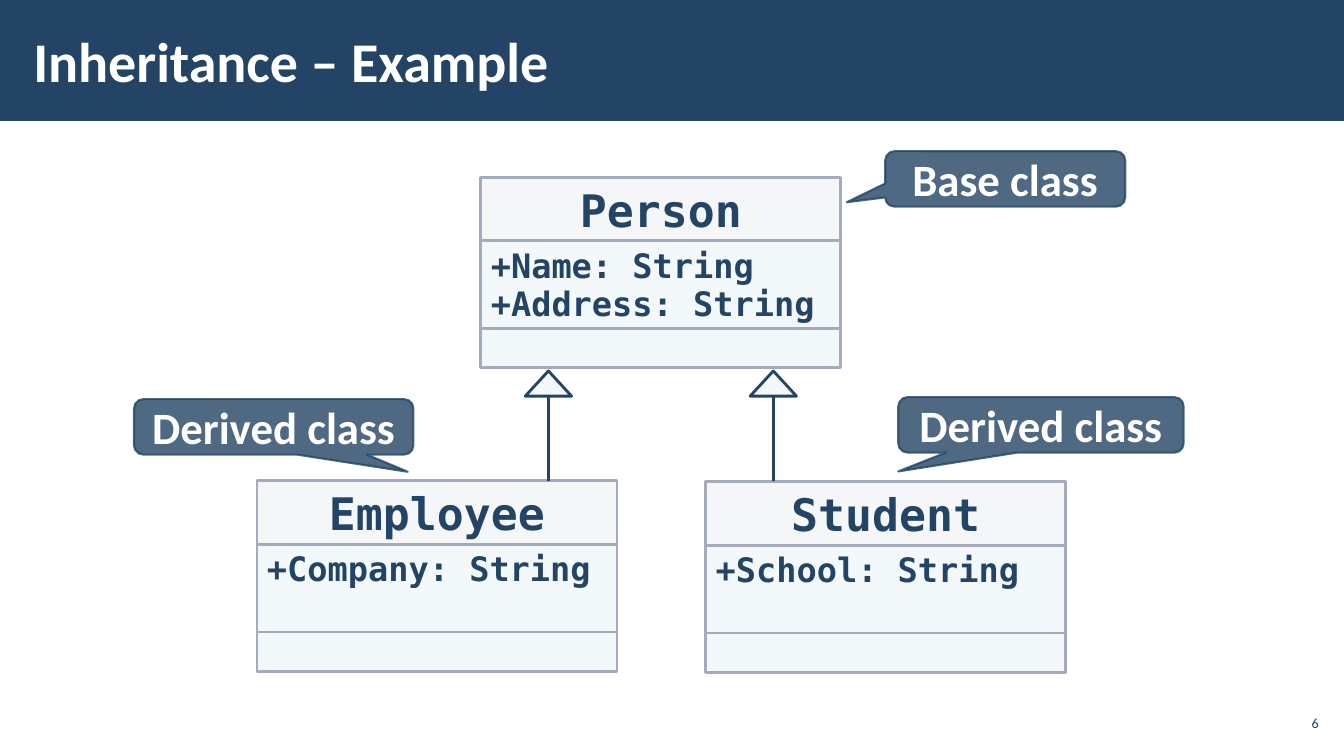
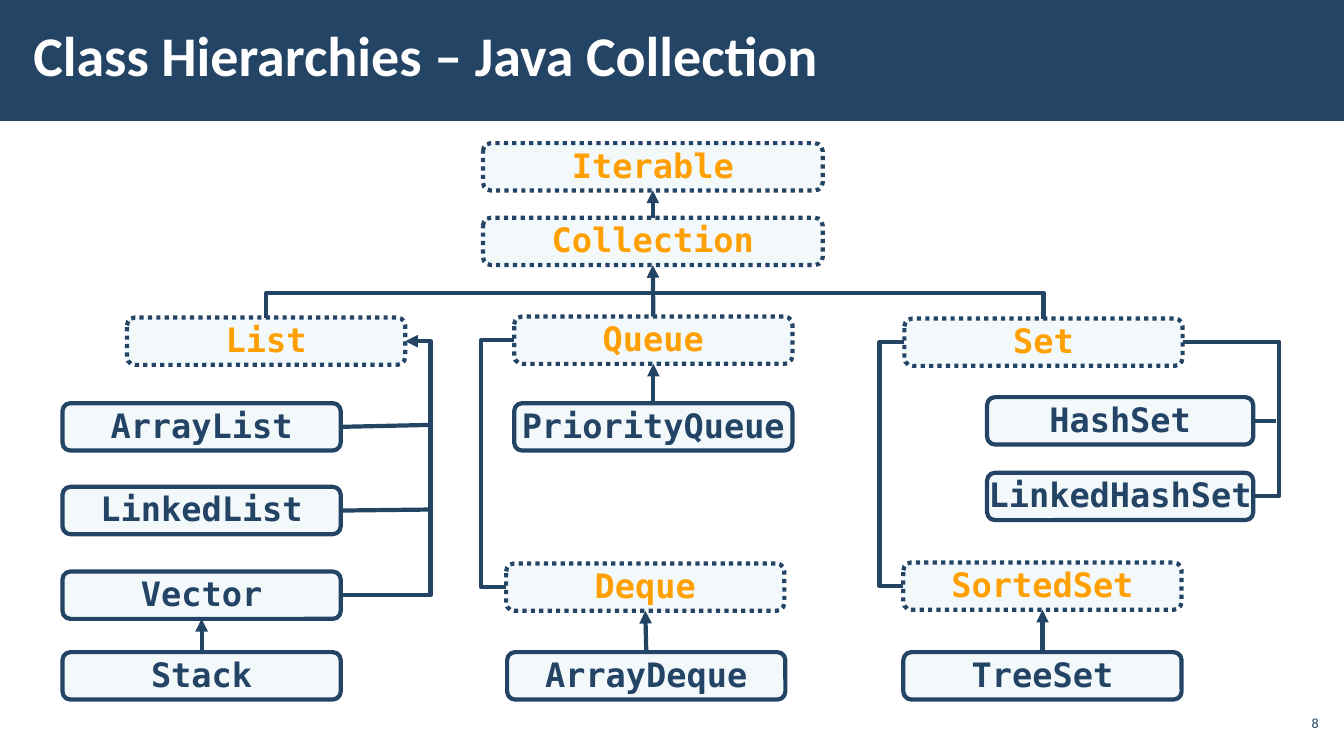
"""Build two slides on class inheritance and the Java collection hierarchy."""
import pptx
import pptx.dml.color
import pptx.enum.dml
import pptx.enum.shapes
import pptx.enum.text
import pptx.oxml
import pptx.oxml.ns
import pptx.util
from dataclasses import dataclass

KIND = pptx.enum.shapes.MSO_SHAPE
LINK = pptx.enum.shapes.MSO_CONNECTOR
ALIGN = pptx.enum.text.PP_ALIGN
ANCHOR = pptx.enum.text.MSO_ANCHOR


@dataclass(frozen=True)
class Theme:
    navy: str = "234465"
    white: str = "FFFFFF"
    amber: str = "FFA000"
    ice: str = "B5DBE5"
    mist: str = "C2C7D2"
    edge: str = "A3ABBC"
    sans: str = "Calibri"
    mono: str = "DejaVu Sans Mono"
    title: int = 40
    head: int = 32
    body: int = 24
    foot: int = 10
    tint: int = 15
    veil: int = 80


LOOK = Theme()
SCALE = 9144
SIZE = (1333, 750)

TITLES = [("Inheritance – Example", 6, None),
          ("Class Hierarchies – Java Collection", 8, pptx.util.Pt(40))]

CARD = 357
ROWS = (63, 87, 39)
CARDS = [
    (477, 176, "Person", ["+Name: String", "+Address: String"]),
    (255, 477, "Employee", ["+Company: String"]),
    (700, 478, "Student", ["+School: String"]),
]
STEMS = (544, 767)
NOTES = [
    ("Derived class", (133, 396, 277, 55), (0.48, 0.81)),
    ("Derived class", (891, 394, 283, 55), (-0.5, 0.84)),
    ("Base class", (878, 150, 238, 55), (-0.66, 0.42)),
]

TALL = 47
FACES = {
    "Iterable": (479, 142, 337), "Collection": (479, 216, 337),
    "List": (126, 315, 276), "Queue": (510, 314, 276), "Set": (897, 316, 276),
    "Deque": (502, 559, 276), "SortedSet": (896, 558, 276),
}
TYPES = {
    "ArrayList": (62, 400, 276), "LinkedList": (62, 483, 276),
    "Vector": (62, 567, 276), "Stack": (62, 647, 276),
    "PriorityQueue": (510, 400, 276), "ArrayDeque": (503, 647, 276),
    "HashSet": (979, 394, 264), "LinkedHashSet": (979, 469, 264),
    "TreeSet": (896, 647, 276),
}
RISES = [("Collection", "Iterable"), ("Queue", "Collection"), ("PriorityQueue", "Queue"),
         ("Stack", "Vector"), ("ArrayDeque", "Deque"), ("TreeSet", "SortedSet")]
BENDS = [("Vector", "List", "right", 427, True), ("Queue", "Deque", "left", 477, False),
         ("Set", "LinkedHashSet", "right", 1269, False), ("Set", "SortedSet", "left", 872, False)]
TAPS = [("ArrayList", 428, 2), ("LinkedList", 428, 1), ("HashSet", 1266, 0)]
BUS = 290


def px(num):
    return pptx.util.Emu(round(num * SCALE))


def hue(code):
    return pptx.dml.color.RGBColor.from_string(code)


def node(tag, **attrs):
    part = pptx.oxml.parse_xml(f"<{tag} {pptx.oxml.ns.nsdecls('a')}/>")
    for key, val in attrs.items():
        part.set(key, str(val))
    return part


def fade(shape, where, amount):
    shape._element.xpath(f"./p:spPr/{where}a:solidFill/a:srgbClr")[0].append(
        node("a:alpha", val=amount * 1000))


def write(shape, lines, size, color, font=LOOK.sans, bold=True, align=ALIGN.CENTER,
          anchor=ANCHOR.MIDDLE, pads=(10, 5), wrap=False, space=None):
    frame = shape.text_frame
    frame.word_wrap = wrap
    frame.vertical_anchor = anchor
    frame.margin_left = frame.margin_right = px(pads[0])
    frame.margin_top = frame.margin_bottom = px(pads[1])
    for i, text in enumerate(lines):
        para = frame.add_paragraph() if i else frame.paragraphs[0]
        para.alignment = align
        para.line_spacing = space
        run = para.add_run()
        run.text = text
        run.font.size = pptx.util.Pt(size)
        run.font.name = font
        run.font.bold = bold
        run.font.color.rgb = hue(color)


def shape(slide, kind, rect, fill, line=None, width=2, alpha=None):
    item = slide.shapes.add_shape(kind, *map(px, rect))
    item.shadow.inherit = False
    item.fill.solid()
    item.fill.fore_color.rgb = hue(fill)
    if alpha:
        fade(item, "", alpha)
    if line:
        item.line.color.rgb = hue(line)
        item.line.width = pptx.util.Pt(width)
    else:
        item.line.fill.background()
    return item


def link(slide, start, end, width=3, arrow=False, kind=LINK.STRAIGHT, bend=None):
    item = slide.shapes.add_connector(kind, *map(px, (*start, *end)))
    item.line.color.rgb = hue(LOOK.navy)
    item.line.width = pptx.util.Pt(width)
    root = item._element
    if arrow:
        root.xpath("./p:spPr/a:ln")[0].append(node("a:tailEnd", type="triangle"))
    root.spPr.append(node("a:effectLst"))
    if bend is not None:
        root.xpath("./p:spPr/a:prstGeom/a:avLst")[0].append(
            node("a:gd", name="adj1", fmla=f"val {round(bend * 100000)}"))
    return item


def elbow(slide, start, end, via, arrow=False):
    bend = (via - start[0]) / (end[0] - start[0])
    return link(slide, start, end, arrow=arrow, kind=LINK.ELBOW, bend=bend)


def bridge(slide, start, end, via):
    mid_x, mid_y = (start[0] + end[0]) / 2, (start[1] + end[1]) / 2
    half_x, half_y = (end[0] - start[0]) / 2, (end[1] - start[1]) / 2
    item = link(slide, (mid_x + half_y, mid_y - half_x), (mid_x - half_y, mid_y + half_x),
                kind=LINK.ELBOW, bend=(via - start[1]) / (end[1] - start[1]))
    item._element.xpath("./p:spPr/a:xfrm")[0].set("rot", "16200000")


def base(deck, title, page, space):
    slide = deck.slides.add_slide(deck.slide_layouts[6])
    shape(slide, KIND.RECTANGLE, (0, 0, SIZE[0], 120), LOOK.navy)
    box = slide.shapes.add_textbox(*map(px, (21, 11, 1039, 97)))
    write(box, [title], LOOK.title, LOOK.white, align=ALIGN.LEFT, pads=(12, 4),
          wrap=True, space=space)
    box = slide.shapes.add_textbox(*map(px, (1265, 700, 47, 34)))
    write(box, [str(page)], LOOK.foot, LOOK.navy, bold=False, align=ALIGN.RIGHT,
          pads=(4, 4), wrap=True)
    return slide


def card(slide, left, top, name, fields):
    cells = []
    for tall, fill in zip(ROWS, (LOOK.mist, LOOK.ice, LOOK.ice)):
        cells.append(shape(slide, KIND.RECTANGLE, (left, top, CARD, tall), fill,
                           LOOK.edge, alpha=LOOK.tint))
        top += tall
    write(cells[0], [name], LOOK.head, LOOK.navy, LOOK.mono)
    write(cells[1], fields, LOOK.body, LOOK.navy, LOOK.mono, align=ALIGN.LEFT,
          anchor=ANCHOR.TOP, pads=(10, 7), space=0.95)


def draw_cards(slide):
    for item in CARDS:
        card(slide, *item)
    for mid in STEMS:
        link(slide, (mid, 477), (mid, 393), width=2)
        shape(slide, KIND.ISOSCELES_TRIANGLE, (mid - 23, 368, 46, 25), LOOK.ice,
              LOOK.navy, alpha=LOOK.tint)
    for text, rect, tip in NOTES:
        note = shape(slide, KIND.ROUNDED_RECTANGULAR_CALLOUT, rect, LOOK.navy,
                     LOOK.navy, 1.5, LOOK.veil)
        fade(note, "a:ln/", LOOK.veil)
        note.adjustments[0], note.adjustments[1] = tip
        write(note, [text], LOOK.head, LOOK.white)


def draw_tree(slide):
    boxes = FACES | TYPES
    for name, (left, top, wide) in boxes.items():
        face = name in FACES
        box = shape(slide, KIND.ROUNDED_RECTANGLE, (left, top, wide, TALL), LOOK.ice,
                    LOOK.navy, 3, LOOK.tint)
        if face:
            box.line.dash_style = pptx.enum.dml.MSO_LINE.ROUND_DOT
        write(box, [name], LOOK.body, LOOK.amber if face else LOOK.navy, LOOK.mono, space=0.95)

    def spot(name, side):
        left, top, wide = boxes[name]
        return {"top": (left + wide / 2, top), "base": (left + wide / 2, top + TALL),
                "left": (left, top + TALL / 2), "right": (left + wide, top + TALL / 2)}[side]

    for child, above in RISES:
        link(slide, spot(child, "top"), spot(above, "base"), arrow=True)
    for start, end, side, via, arrow in BENDS:
        elbow(slide, spot(start, side), spot(end, side), via, arrow)
    for name, stop, rise in TAPS:
        start = spot(name, "right")
        link(slide, start, (stop, start[1] - rise))
    bridge(slide, spot("List", "top"), spot("Set", "top"), BUS)


def main():
    deck = pptx.Presentation()
    deck.slide_width, deck.slide_height = map(px, SIZE)
    for head, draw in zip(TITLES, (draw_cards, draw_tree)):
        draw(base(deck, *head))
    deck.save("out.pptx")


if __name__ == "__main__":
    main()
